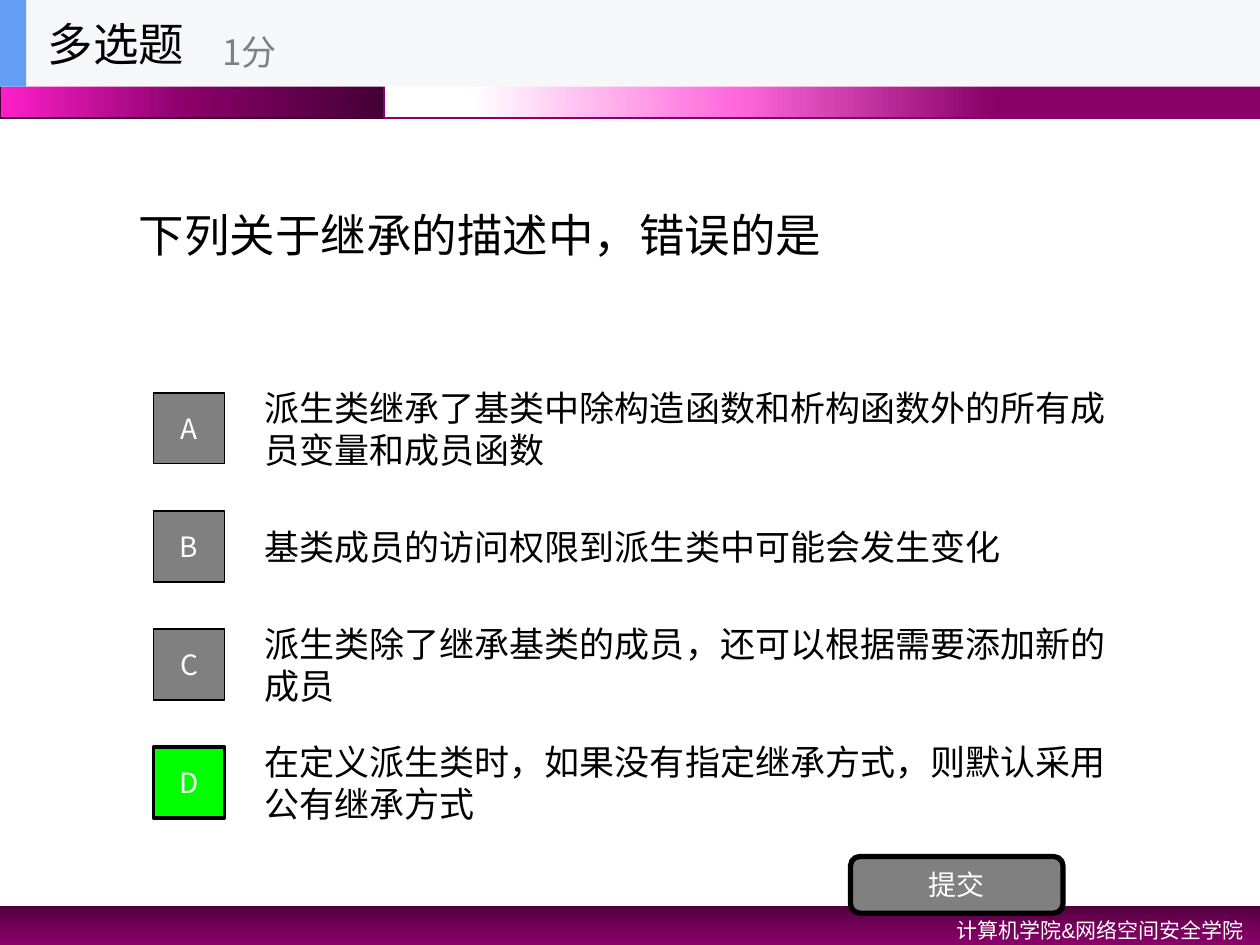
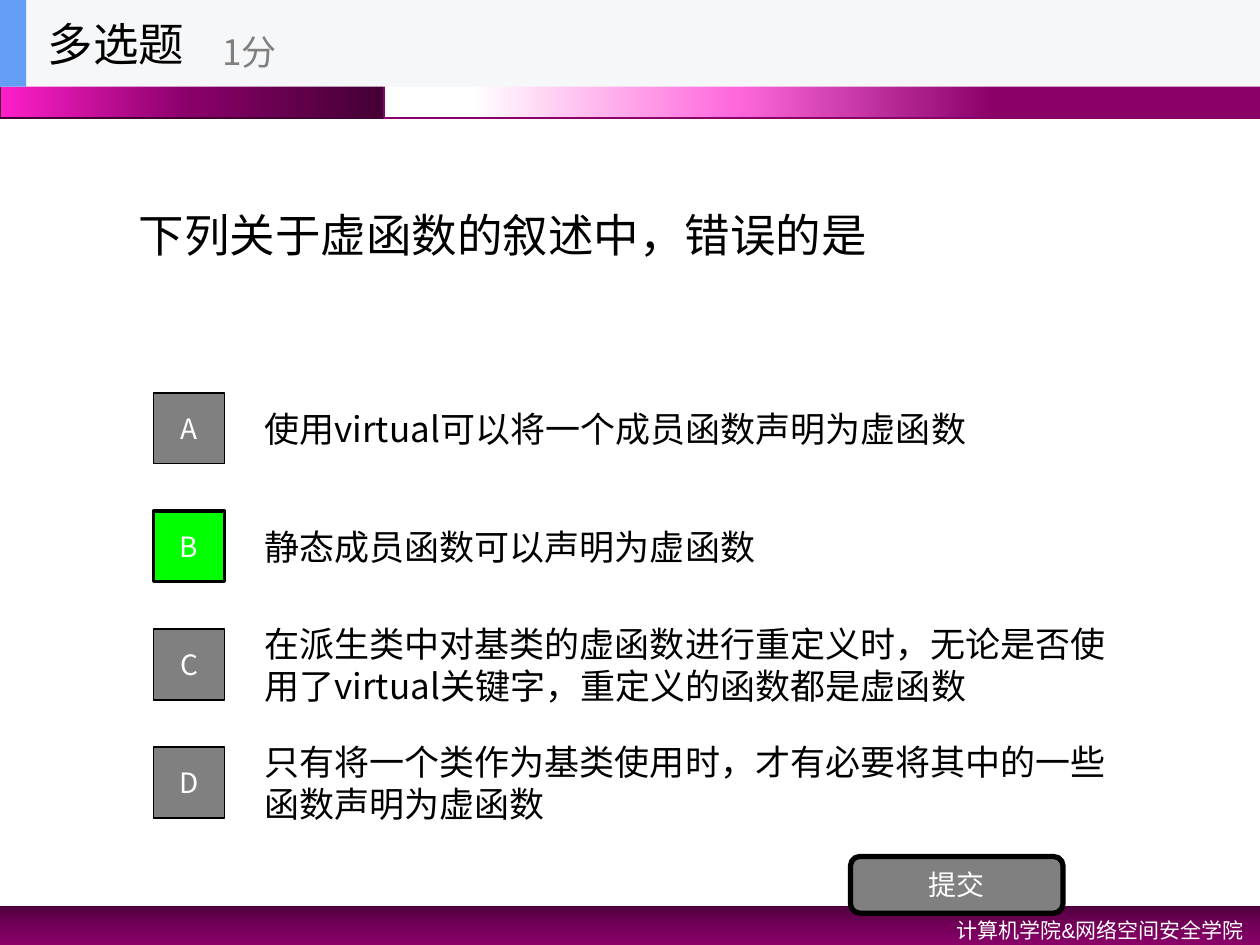
from dataclasses import dataclass

from lxml import etree
from pptx import Presentation
from pptx.dml.color import RGBColor
from pptx.enum.shapes import MSO_SHAPE
from pptx.enum.text import MSO_ANCHOR, MSO_AUTO_SIZE, PP_ALIGN
from pptx.oxml.ns import qn
from pptx.util import Pt

RECTANGLE = MSO_SHAPE.RECTANGLE
ROUNDED_RECTANGLE = MSO_SHAPE.ROUNDED_RECTANGLE
LEFT, CENTER, RIGHT = PP_ALIGN.LEFT, PP_ALIGN.CENTER, PP_ALIGN.RIGHT
TOP, MIDDLE = MSO_ANCHOR.TOP, MSO_ANCHOR.MIDDLE


@dataclass(frozen=True)
class Theme:
    font: str = "Noto Sans CJK SC"
    footer_font: str = "Arial"
    black: str = "000000"
    white: str = "FFFFFF"
    gray: str = "808080"
    correct: str = "00FF00"
    header: str = "F6F7F8"
    accent: str = "639EF4"
    purple: str = "880068"
    dark_purple: str = "440034"
    heading_size: int = 26
    option_size: int = 20
    label_size: int = 16
    footer_size: int = 12


theme = Theme()


def add_filled_shape(shapes, kind, bounds, color, line_color=None, line_width=1):
    shape = shapes.add_shape(kind, *map(Pt, bounds))
    shape.shadow.inherit = False
    shape.fill.solid()
    shape.fill.fore_color.rgb = RGBColor.from_string(color)
    if line_color:
        shape.line.color.rgb = RGBColor.from_string(line_color)
        shape.line.width = Pt(line_width)
    else:
        shape.line.fill.background()
    return shape


def write_text(shape, text, size, color, align=LEFT, anchor=MIDDLE, font_name=theme.font):
    frame = shape.text_frame
    frame.word_wrap = True
    frame.auto_size = MSO_AUTO_SIZE.NONE
    frame.vertical_anchor = anchor
    frame.text = text
    paragraph = frame.paragraphs[0]
    paragraph.alignment = align
    font = paragraph.font
    font.size = Pt(size)
    font.name = font_name
    font.color.rgb = RGBColor.from_string(color)
    properties = paragraph._p.pPr.find(qn("a:defRPr"))
    etree.SubElement(properties, qn("a:ea"), typeface=theme.font)
    return paragraph


SLIDE_WIDTH, SLIDE_HEIGHT = 720, 540
HEADER_HEIGHT = 49.5
BAND_HEIGHT = 67.5
BAND_SPLIT = 219.5
FOOTER_TOP = 517.7
OPTION_TOP, OPTION_PITCH, OPTION_HEIGHT = 219.4, 67.5, 50.6
LABEL_SIDE = 40.5

gradient_bands = [
    ((0, FOOTER_TOP, SLIDE_WIDTH, SLIDE_HEIGHT - FOOTER_TOP), None, 90,
     [(0, "51003E"), (50, "730058"), (100, theme.purple)]),
    ((0, 0, BAND_SPLIT, BAND_HEIGHT), theme.dark_purple, 180,
     [(0, theme.dark_purple), (50, theme.purple), (100, "FF1FCA")]),
    ((BAND_SPLIT, 0, SLIDE_WIDTH - BAND_SPLIT, BAND_HEIGHT), theme.purple, 180,
     [(30, theme.purple), (60, "FF69DC"), (90, theme.white)]),
]

questions = [
    ("下列关于继承的描述中，错误的是", "D", [
        "派生类继承了基类中除构造函数和析构函数外的所有成员变量和成员函数",
        "基类成员的访问权限到派生类中可能会发生变化",
        "派生类除了继承基类的成员，还可以根据需要添加新的成员",
        "在定义派生类时，如果没有指定继承方式，则默认采用公有继承方式",
    ]),
    ("下列关于虚函数的叙述中，错误的是", "B", [
        "使用virtual可以将一个成员函数声明为虚函数",
        "静态成员函数可以声明为虚函数",
        "在派生类中对基类的虚函数进行重定义时，无论是否使用了virtual关键字，重定义的函数都是虚函数",
        "只有将一个类作为基类使用时，才有必要将其中的一些函数声明为虚函数",
    ]),
]

presentation = Presentation()
presentation.slide_width = Pt(SLIDE_WIDTH)
presentation.slide_height = Pt(SLIDE_HEIGHT)
title_only = presentation.slide_layouts[5]
slides = [presentation.slides.add_slide(title_only) for _ in questions]

master_tree = presentation.slide_master.shapes._spTree
shared_shapes = []
for bounds, line_color, angle, stops in gradient_bands:
    band = add_filled_shape(slides[0].shapes, RECTANGLE, bounds, theme.purple, line_color)
    band.fill.gradient()
    gradient = band._element.spPr.find(qn("a:gradFill"))
    gradient.find(qn("a:lin")).set("ang", str(angle * 60000))
    stop_list = gradient.find(qn("a:gsLst"))
    stop_list.clear()
    for position, color in stops:
        stop = etree.SubElement(stop_list, qn("a:gs"), pos=str(position * 1000))
        etree.SubElement(stop, qn("a:srgbClr"), val=color)
    shared_shapes.append(band)

footer = slides[0].shapes.add_textbox(Pt(462.2), Pt(FOOTER_TOP), Pt(255.6), Pt(23))
paragraph = write_text(footer, "计算机学院&网络空间安全学院", theme.footer_size, theme.white,
                       RIGHT, TOP, theme.footer_font)
paragraph.line_spacing = 1.2
shared_shapes.append(footer)
for number, shape in enumerate(shared_shapes, start=101):
    shape._element.nvSpPr.cNvPr.set("id", str(number))
    master_tree.append(shape._element)

for slide, (question, answer, options) in zip(slides, questions):
    title = slide.shapes.title
    title.left, title.top, title.width, title.height = map(Pt, (72, HEADER_HEIGHT, 576, 168.75))
    write_text(title, question, theme.heading_size, theme.black)

    for row, (letter, option) in enumerate(zip("ABCD", options)):
        top = OPTION_TOP + row * OPTION_PITCH
        option_box = slide.shapes.add_textbox(Pt(144), Pt(top), Pt(504), Pt(OPTION_HEIGHT))
        write_text(option_box, option, theme.option_size, theme.black)
        is_answer = letter == answer
        label_top = top + (OPTION_HEIGHT - LABEL_SIDE) / 2
        label = add_filled_shape(slide.shapes, RECTANGLE,
                                 (87.75, label_top, LABEL_SIDE, LABEL_SIDE),
                                 theme.correct if is_answer else theme.gray,
                                 theme.black, 2 if is_answer else 1)
        write_text(label, letter, theme.label_size, theme.white, CENTER)

    submit_button = add_filled_shape(slide.shapes, ROUNDED_RECTANGLE, (486, 489.4, 121.5, 32.4),
                                     theme.gray, theme.black, 3)
    write_text(submit_button, "提交", theme.label_size, theme.white, CENTER)

    header = slide.shapes.add_group_shape()
    add_filled_shape(header.shapes, RECTANGLE, (0, 0, SLIDE_WIDTH, HEADER_HEIGHT), theme.header)
    add_filled_shape(header.shapes, RECTANGLE, (0, 0, 15, HEADER_HEIGHT), theme.accent)
    question_type = header.shapes.add_textbox(Pt(20.25), Pt(0), Pt(150), Pt(HEADER_HEIGHT))
    write_text(question_type, "多选题", theme.heading_size, theme.black)
    score = header.shapes.add_textbox(Pt(120), Pt(9), Pt(180), Pt(40.5))
    write_text(score, "1分", theme.option_size, theme.gray)

presentation.save("out.pptx")
